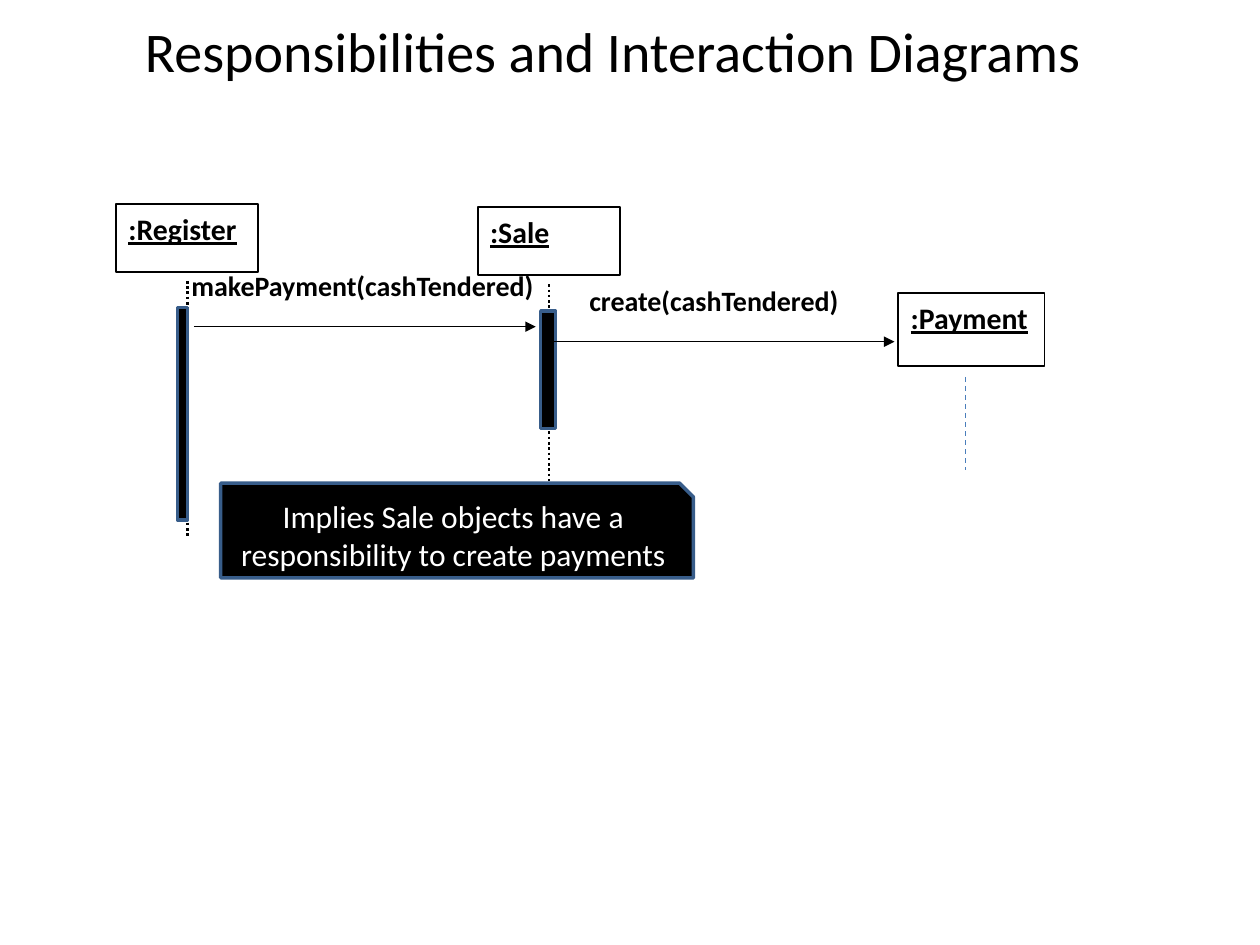
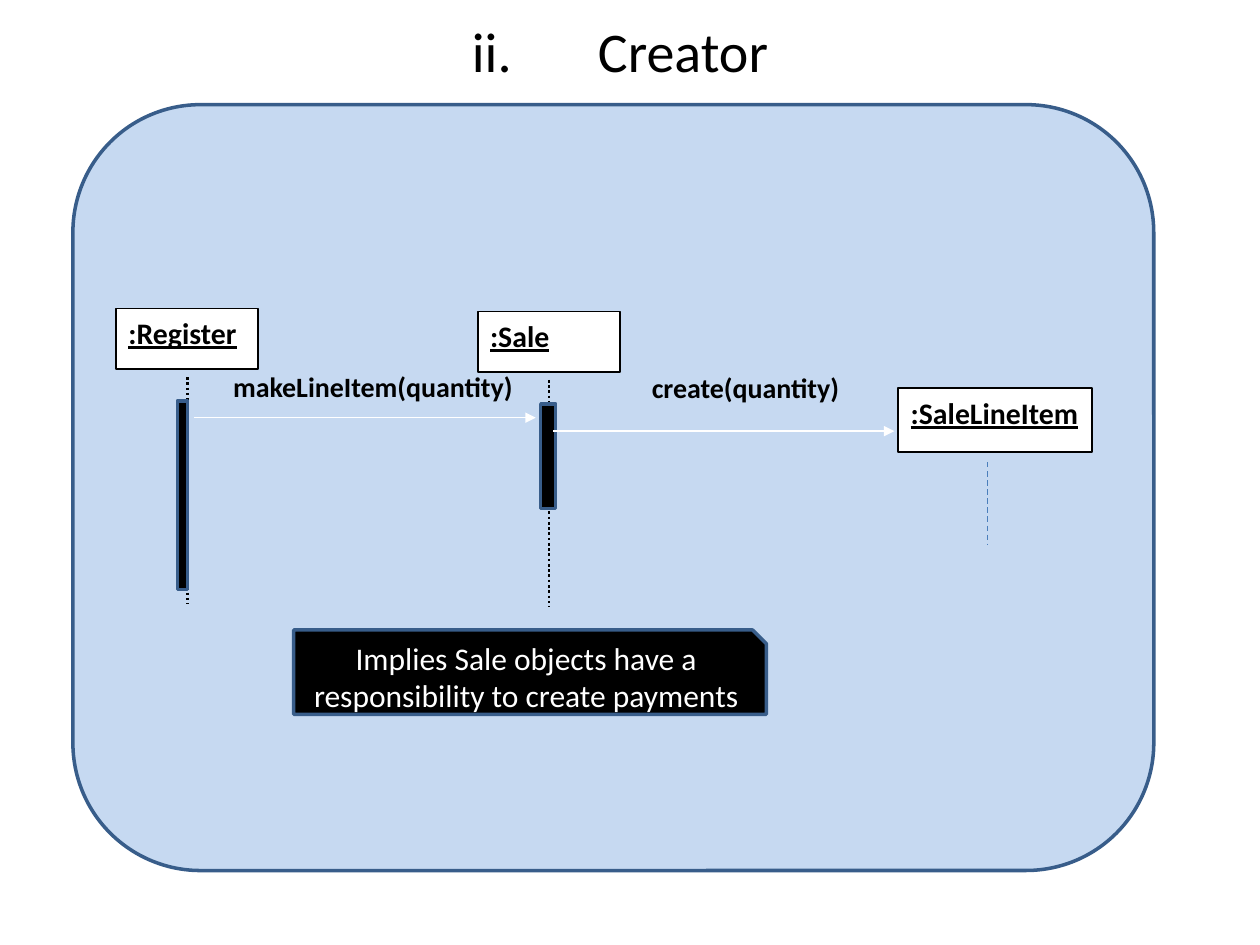
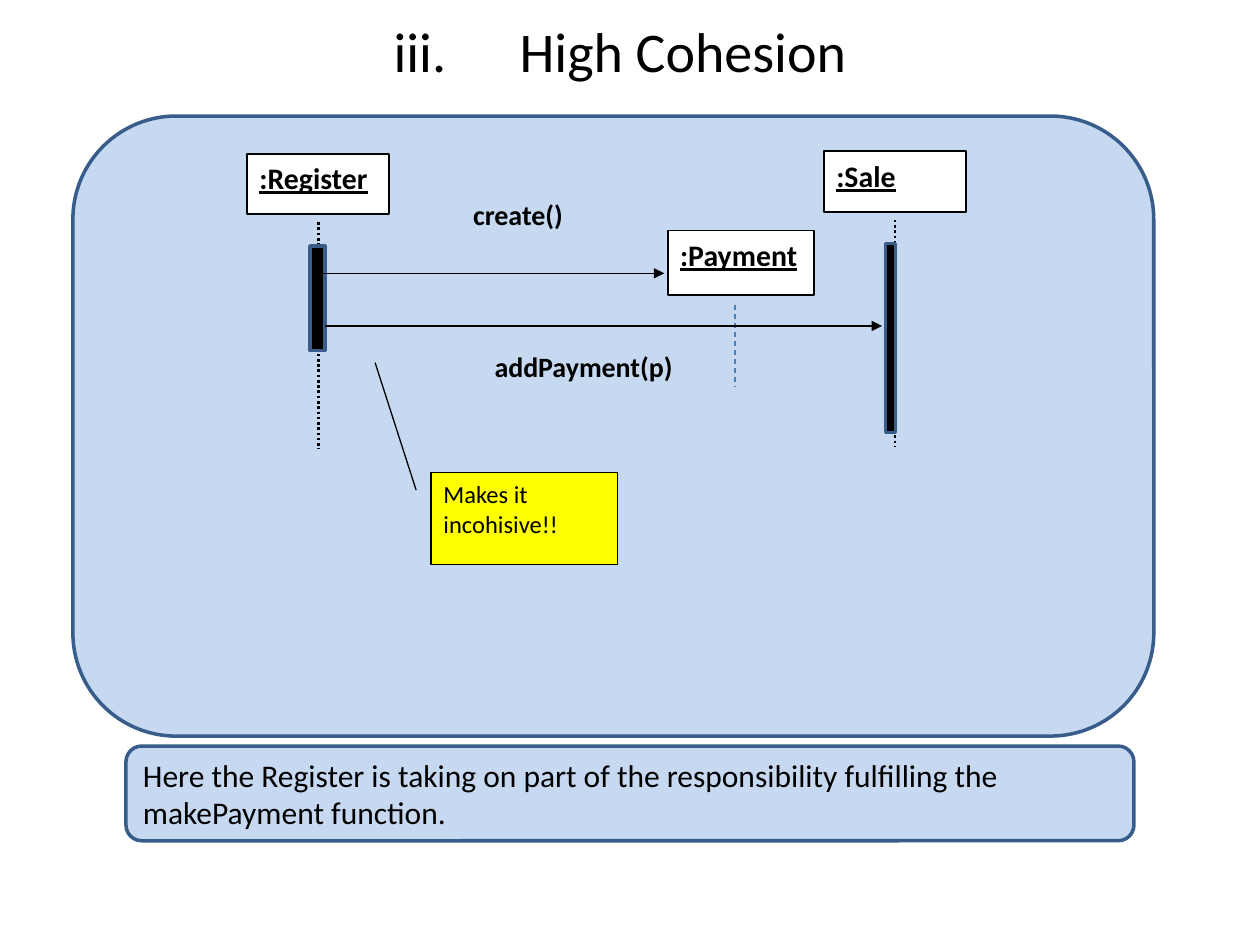
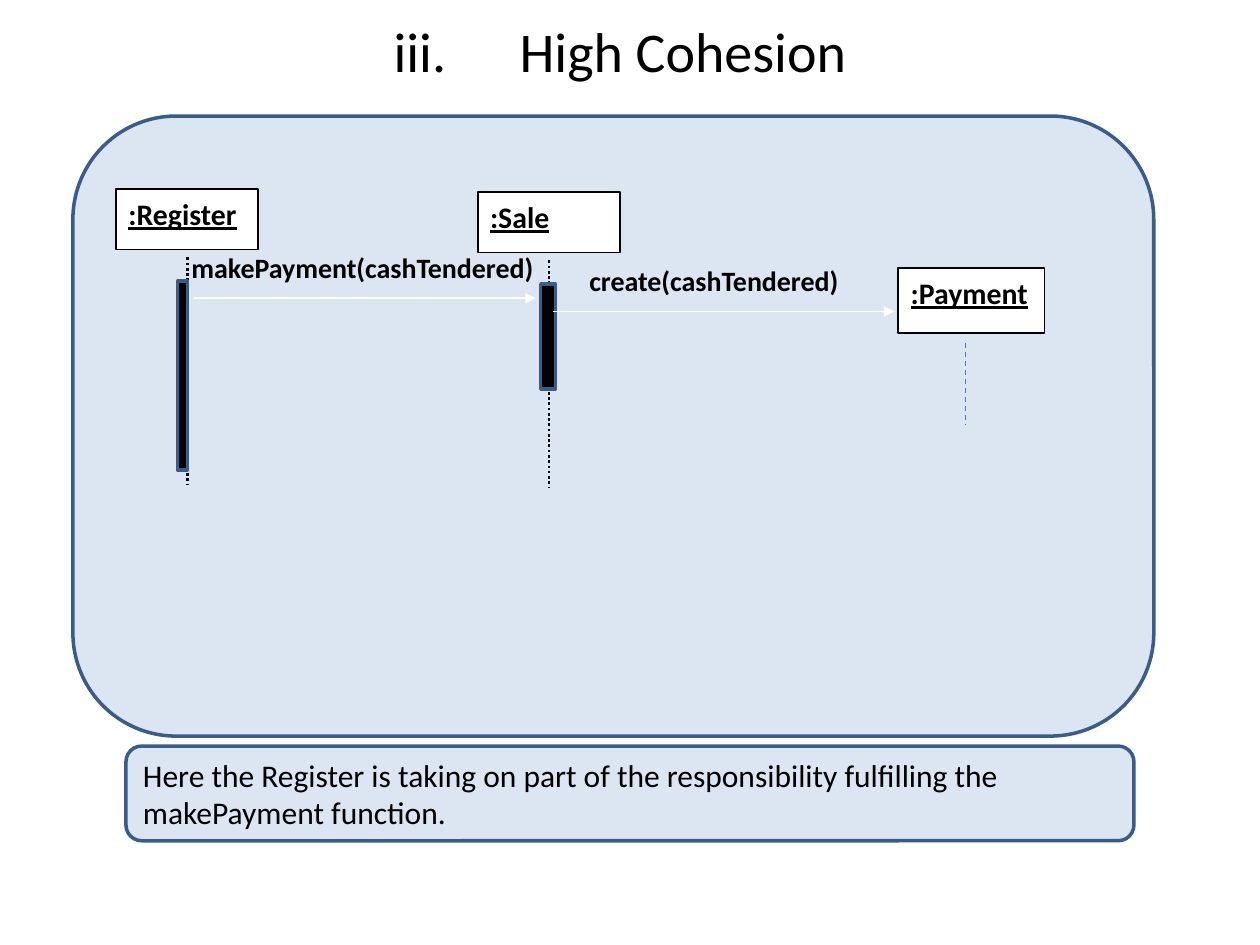
from dataclasses import dataclass

from lxml.etree import SubElement
from pptx import Presentation
from pptx.dml.color import RGBColor
from pptx.enum.dml import MSO_LINE
from pptx.enum.shapes import MSO_CONNECTOR, MSO_SHAPE
from pptx.enum.text import MSO_ANCHOR, PP_ALIGN
from pptx.oxml.ns import qn
from pptx.util import Cm, Pt

# Shared style
FONT = "Calibri"
BLACK = RGBColor(0x00, 0x00, 0x00)
WHITE = RGBColor(0xFF, 0xFF, 0xFF)
YELLOW = RGBColor(0xFF, 0xFF, 0x00)
EDGE = RGBColor(0x38, 0x5D, 0x8A)
DASH_BLUE = RGBColor(0x4A, 0x7E, 0xBB)
PANEL_BLUE = RGBColor(0xC6, 0xD9, 0xF1)
PALE_BLUE = RGBColor(0xDC, 0xE6, 0xF2)

# Sequence diagram measures, in centimetres
HEAD_W, HEAD_H = 2.87, 1.22
NEW_HEAD_H = 1.3
SNIP = 0.28


@dataclass(frozen=True)
class Bar:
    """Activation bar, placed relative to its head."""
    dx: float
    width: float
    height: float


LONG_BAR = Bar(1.24, 0.2, 3.81)
SHORT_BAR = Bar(1.27, 0.3, 2.11)


@dataclass(frozen=True)
class Participant:
    name: str
    x: float
    y: float
    bar: Bar


@dataclass(frozen=True)
class NewObject:
    """Object created during the interaction."""
    name: str
    x: float
    y: float
    width: float = 2.95


@dataclass(frozen=True)
class Message:
    x1: float
    x2: float
    y: float
    text: str
    label_x: float
    label_y: float
    indented: bool = False


def write(tf, text: str, *, size: float, color: RGBColor = BLACK, bold: bool = False,
          underline: bool = False, align=PP_ALIGN.LEFT, anchor=MSO_ANCHOR.TOP,
          after: float = 0, left: float = 0.25, top: float = 0.13, right: float = 0.25):
    tf.word_wrap = True
    tf.vertical_anchor = anchor
    tf.margin_left, tf.margin_top, tf.margin_right = Cm(left), Cm(top), Cm(right)
    tf.margin_bottom = Cm(0.13)
    p = tf.paragraphs[0]
    p.alignment = align
    p.space_after = Pt(after)
    r = p.add_run()
    r.text = text
    r.font.name, r.font.size, r.font.color.rgb = FONT, Pt(size), color
    r.font.bold, r.font.underline = bold, underline
    return p


def paint(sp, fill: RGBColor, line: RGBColor, width: float):
    sp.shadow.inherit = False
    sp.fill.solid()
    sp.fill.fore_color.rgb = fill
    sp.line.color.rgb = line
    sp.line.width = Pt(width)
    return sp


def add_box(s, kind, x: float, y: float, w: float, h: float,
            fill: RGBColor, line: RGBColor = EDGE, width: float = 2):
    sp = s.shapes.add_shape(kind, Cm(x), Cm(y), Cm(w), Cm(h))
    return paint(sp, fill, line, width)


def add_line(s, x1: float, y1: float, x2: float, y2: float, color: RGBColor,
             width: float = 0.75, dash=None, arrow: bool = False) -> None:
    c = s.shapes.add_connector(MSO_CONNECTOR.STRAIGHT, Cm(x1), Cm(y1), Cm(x2), Cm(y2))
    c.line.color.rgb = color
    c.line.width = Pt(width)
    if dash:
        c.line.dash_style = dash
    sp_pr = c._element.spPr
    if arrow:
        SubElement(sp_pr.find(qn("a:ln")), qn("a:tailEnd"), type="triangle")
    SubElement(sp_pr, qn("a:effectLst"))


def new_slide(prs, title: str, x: float = 3.61, w: float = 17.78):
    s = prs.slides.add_slide(prs.slide_layouts[5])
    sp = s.shapes.title
    sp.left, sp.top, sp.width, sp.height = Cm(x), Cm(0.2), Cm(w), Cm(3.18)
    p = write(sp.text_frame, title, size=32, align=PP_ALIGN.CENTER)
    if "\t" in title:
        tabs = SubElement(p._p.get_or_add_pPr(), qn("a:tabLst"))
        SubElement(tabs, qn("a:tab"), pos=str(Cm(2.54)), algn="l")
    return s


def add_panel(s, y: float, h: float, fill: RGBColor) -> None:
    add_box(s, MSO_SHAPE.ROUNDED_RECTANGLE, 1.47, y, 21.79, h, fill)


def add_remark(s, fill: RGBColor) -> None:
    sp = add_box(s, MSO_SHAPE.ROUNDED_RECTANGLE, 2.54, 15.04, 20.32, 1.91, fill)
    write(sp.text_frame, "Here the Register is taking on part of the responsibility "
          "fulfilling the makePayment function.", size=18, anchor=MSO_ANCHOR.MIDDLE)


def add_head(s, name: str, x: float, y: float, w: float, h: float) -> None:
    sp = add_box(s, MSO_SHAPE.RECTANGLE, x, y, w, h, WHITE, BLACK, 1)
    write(sp.text_frame, name, size=17, bold=True, underline=True, after=10)


def add_participant(s, who: Participant, k: float) -> None:
    x = who.x + HEAD_W / 2
    add_line(s, x, who.y + 1.38 * k, x, who.y + 5.95 * k, BLACK, 1.5, MSO_LINE.ROUND_DOT)
    add_head(s, who.name, who.x, who.y, HEAD_W, HEAD_H * k)
    add_box(s, MSO_SHAPE.RECTANGLE, who.x + who.bar.dx, who.y + 1.86 * k,
            who.bar.width, who.bar.height * k, BLACK)


def add_new_object(s, obj: NewObject, k: float) -> None:
    add_head(s, obj.name, obj.x, obj.y, obj.width, NEW_HEAD_H * k)
    x = obj.x + 0.46 * obj.width
    add_line(s, x, obj.y + 1.5 * k, x, obj.y + 3.16 * k, DASH_BLUE, dash=MSO_LINE.DASH)


def add_message(s, m: Message, color: RGBColor) -> None:
    # A label is either indented on the first line or lowered to the second
    h, inset = (0.94, {"left": 2.55}) if m.indented else (1.7, {"top": 0.81})
    tb = s.shapes.add_textbox(Cm(m.label_x), Cm(m.label_y), Cm(7.62), Cm(h))
    write(tb.text_frame, m.text, size=16, bold=True, after=10, **inset)
    add_line(s, m.x1, m.y, m.x2, m.y, color, arrow=True)


def add_diagram(s, participants: list[Participant], obj: NewObject,
                messages: list[Message], color: RGBColor, k: float = 1) -> None:
    add_new_object(s, obj, k)
    for who in participants:
        add_participant(s, who, k)
    for m in messages:
        add_message(s, m, color)


def add_creator_diagram(s, y: float, color: RGBColor, k: float = 1, *,
                        call: str = "makePayment(cashTendered)", call_x: float = 3.61,
                        create: str = "create(cashTendered)", create_x: float = 11.63,
                        create_dy: float = 0.83, indented: bool = False,
                        created: str = ":Payment", created_w: float = 2.95) -> None:
    """Register calls Sale, and Sale creates the new object."""
    add_diagram(
        s,
        [Participant(":Sale", 9.63, y + 0.06 * k, SHORT_BAR),
         Participant(":Register", 2.34, y, LONG_BAR)],
        NewObject(created, 18.11, y + 1.6 * k, created_w),
        [Message(11.15, 18.03, y + 2.47 * k, create, create_x, y + create_dy * k, indented),
         Message(3.91, 10.8, y + 2.2 * k, call, call_x, y + 0.56 * k)],
        color, k)


def add_note(s, x: float, y: float, h: float) -> None:
    w = 9.53
    points = [(x + w - SNIP, y), (x + w, y + SNIP), (x + w, y + h), (x, y + h)]
    fb = s.shapes.build_freeform(Cm(x), Cm(y))
    fb.add_line_segments([(Cm(px), Cm(py)) for px, py in points], close=True)
    sp = paint(fb.convert_to_shape(), BLACK, EDGE, 2)
    write(sp.text_frame, "Implies Sale objects have a responsibility to create payments",
          size=18, color=WHITE, align=PP_ALIGN.CENTER, anchor=MSO_ANCHOR.MIDDLE,
          top=0.3, right=0.4)


def main() -> None:
    prs = Presentation()
    prs.slide_width, prs.slide_height = Cm(25.4), Cm(19.05)

    # Slide 1: responsibilities
    s = new_slide(prs, "Responsibilities and Interaction Diagrams ", 0.64, 23.7)
    add_creator_diagram(s, 4.11, BLACK, 1.125)
    add_note(s, 4.45, 9.74, 1.91)

    # Slide 2: creator
    s = new_slide(prs, "ii.\tCreator")
    add_panel(s, 2.11, 15.44, PANEL_BLUE)
    add_creator_diagram(s, 6.22, WHITE, call="makeLineItem(quantity)", call_x=4.45,
                        create="create(quantity)", create_x=10.59, create_dy=1.12,
                        indented=True, created=":SaleLineItem", created_w=3.91)
    add_note(s, 5.92, 12.7, 1.7)

    # Slide 3: low cohesion in Register
    s = new_slide(prs, "iii.\tHigh Cohesion")
    add_panel(s, 2.34, 12.5, PANEL_BLUE)
    sp = add_box(s, MSO_SHAPE.LINE_CALLOUT_1, 8.69, 9.53, 3.76, 1.85, YELLOW, BLACK, 0.75)
    for i, value in enumerate((0.19, -0.08, -1.2, -0.3)):
        sp.adjustments[i] = value
    write(sp.text_frame, "Makes it incohisive!!", size=14)
    add_remark(s, PANEL_BLUE)
    add_diagram(
        s,
        [Participant(":Register", 4.98, 3.1, SHORT_BAR),
         Participant(":Sale", 16.61, 3.05, LONG_BAR)],
        NewObject(":Payment", 13.46, 4.65),
        [Message(6.5, 13.39, 5.51, "create()", 6.99, 3.86, True),
         Message(6.55, 17.78, 6.57, "addPayment(p)", 7.42, 6.91, True)],
        BLACK)

    # Slide 4: high cohesion
    s = new_slide(prs, "iii.\tHigh Cohesion")
    add_panel(s, 2.34, 12.5, PALE_BLUE)
    add_remark(s, PALE_BLUE)
    add_creator_diagram(s, 3.81, WHITE)

    prs.save("out.pptx")


if __name__ == "__main__":
    main()
